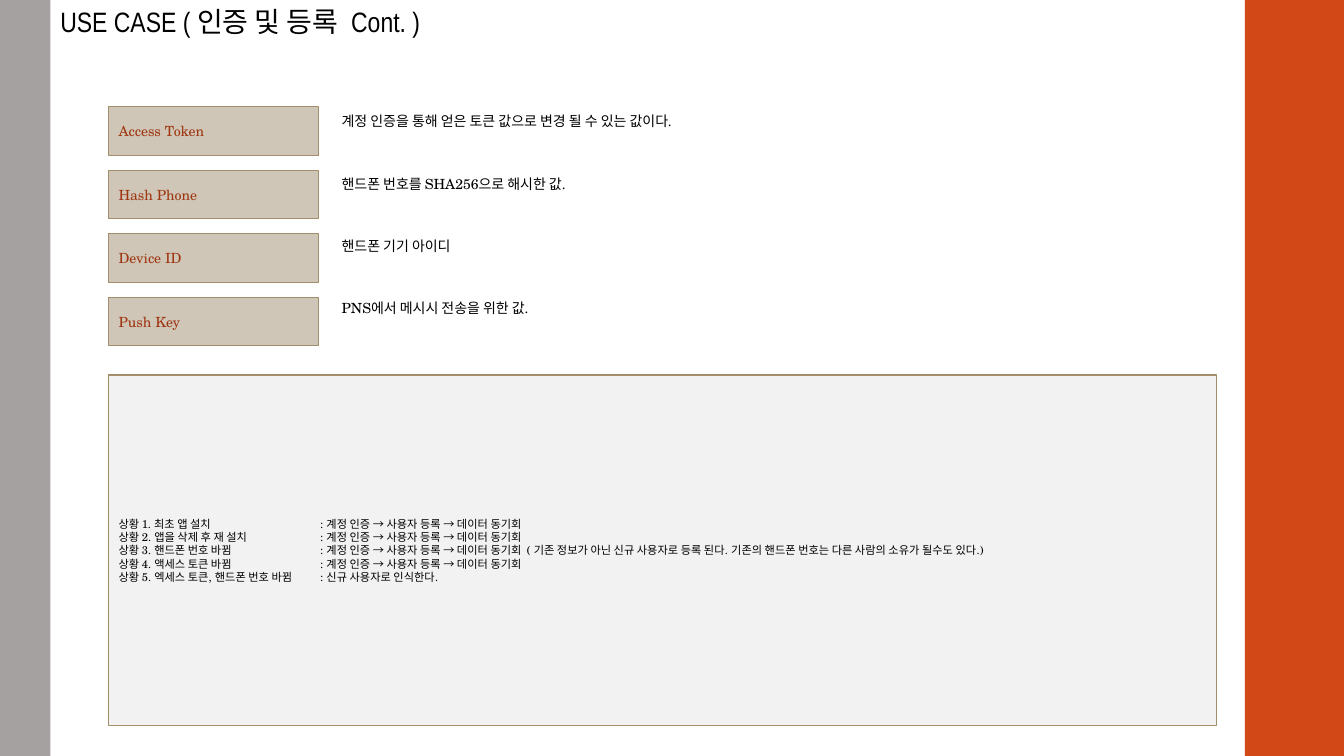
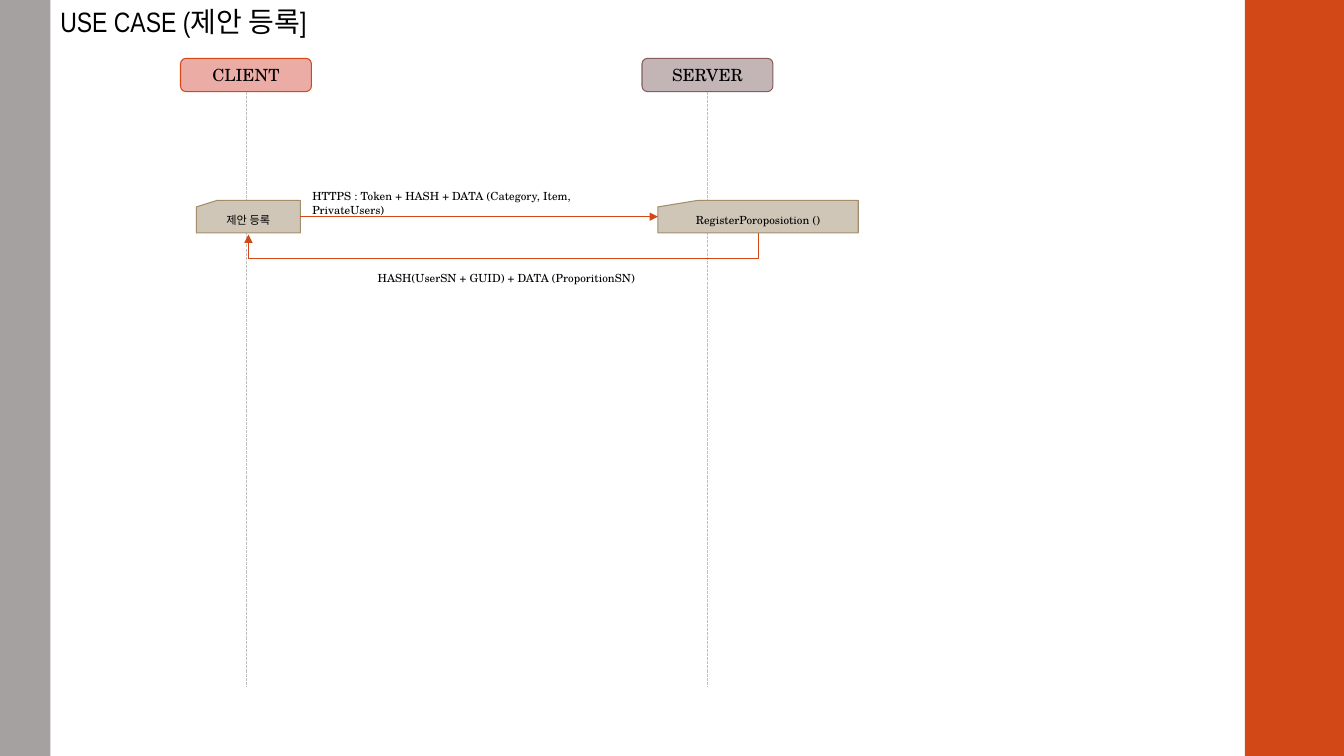
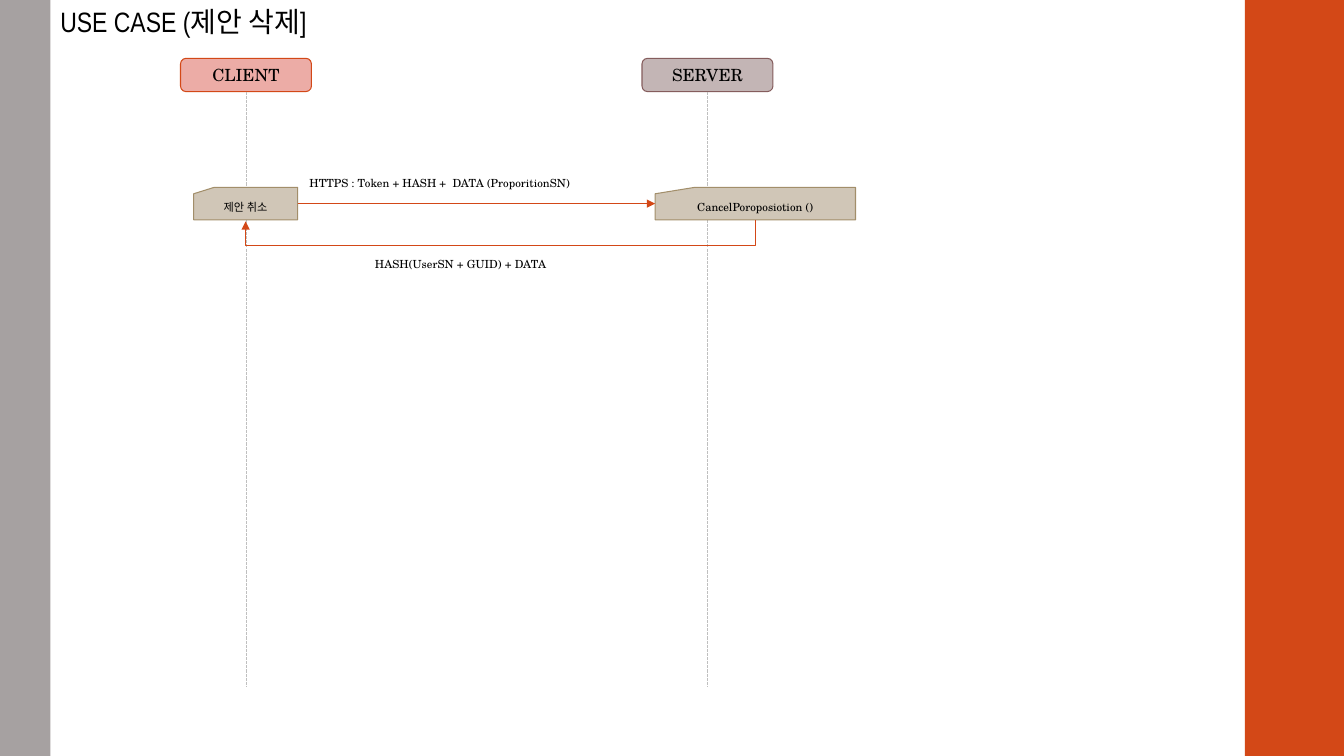
import pptx
import pptx.util
import pptx.oxml
import pptx.oxml.ns
from pptx.dml.color import RGBColor
from pptx.enum.dml import MSO_LINE
from pptx.enum.shapes import MSO_CONNECTOR, MSO_SHAPE
from pptx.enum.text import MSO_ANCHOR, MSO_AUTO_SIZE, PP_ALIGN
from pptx.util import Cm

BLACK = RGBColor(0x00, 0x00, 0x00)
ORANGE = RGBColor(0xD3, 0x48, 0x17)
RUST = RGBColor(0x9E, 0x36, 0x11)
GRAY = RGBColor(0xA6, 0xA1, 0xA1)
PALE = RGBColor(0xF2, 0xF2, 0xF2)
DASH = RGBColor(0xBF, 0xBF, 0xBF)
SAND = RGBColor(0xD0, 0xC6, 0xB7)
TAN = RGBColor(0xA2, 0x8E, 0x6A)
PINK = RGBColor(0xEC, 0xAC, 0xA6)
MAUVE = RGBColor(0xC3, 0xB5, 0xB5)
PLUM = RGBColor(0x85, 0x5D, 0x5D)

TITLE_FONT = "Arial Narrow"
BODY_FONT = "TeX Gyre Schola"

TERMS = [
    ("Access Token", "계정 인증을 통해 얻은 토큰 값으로 변경 될 수 있는 값이다."),
    ("Hash Phone", "핸드폰 번호를 SHA256으로 해시한 값."),
    ("Device ID", "핸드폰 기기 아이디"),
    ("Push Key", "PNS에서 메시시 전송을 위한 값."),
]
FLOW = "계정 인증 → 사용자 등록 → 데이터 동기회"
CASES = [
    ("최초 앱 설치", FLOW),
    ("앱을 삭제 후 재 설치", FLOW),
    ("핸드폰 번호 바뀜", FLOW + "  ( 기존 정보가 아닌 신규 사용자로 등록 된다. "
     "기존의 핸드폰 번호는 다른 사람의 소유가 될수도 있다.)"),
    ("액세스 토큰 바뀜", FLOW),
    ("엑세스 토큰, 핸드폰 번호 바뀜", "신규 사용자로 인식한다."),
]


def add_child(parent, tag, **attrs):
    child = pptx.oxml.parse_xml(f"<{tag} {pptx.oxml.ns.nsdecls('a')}/>")
    for name, value in attrs.items():
        child.set(name, value)
    parent.append(child)
    return child


def write(tf, lines, size, color=BLACK, font=BODY_FONT, align=PP_ALIGN.LEFT):
    tf.text = "\n".join(lines)
    for p in tf.paragraphs:
        p.alignment = align
        p.font.size = pptx.util.Pt(size)
        p.font.name = font
        p.font.color.rgb = color


def add_box(s, kind, x, y, w, h, fill, line=None):
    sp = s.shapes.add_shape(kind, Cm(x), Cm(y), Cm(w), Cm(h))
    sp.shadow.inherit = False
    sp.fill.solid()
    sp.fill.fore_color.rgb = fill
    if line is None:
        sp.line.fill.background()
    else:
        sp.line.color.rgb = line
        sp.line.width = pptx.util.Pt(0.75)
    sp.text_frame.vertical_anchor = MSO_ANCHOR.MIDDLE
    return sp


def add_text(s, x, y, w, h, text, size, font=BODY_FONT, wrap=True):
    tf = s.shapes.add_textbox(Cm(x), Cm(y), Cm(w), Cm(h)).text_frame
    tf.word_wrap = wrap
    tf.auto_size = MSO_AUTO_SIZE.SHAPE_TO_FIT_TEXT
    write(tf, [text], size, font=font)


def style_line(line, color, arrow=False):
    line.line.color.rgb = color
    line.line.width = pptx.util.Pt(0.75)
    if arrow:
        add_child(line.line._ln, "a:tailEnd", type="triangle")
    add_child(line._element.spPr, "a:effectLst")


def add_bands(s, layout):
    for x, w, fill in [(31.37, 2.5, ORANGE), (0, 1.27, GRAY)]:
        band = add_box(s, MSO_SHAPE.RECTANGLE, x, 0, w, 19.05, fill)
        layout.shapes.element.append(band._element)


def add_slide(prs, title):
    s = prs.slides.add_slide(prs.slide_layouts[6])
    add_text(s, 1.27, 0, 30.1, 1.11, title, 20, font=TITLE_FONT)
    return s


def add_participant(s, x, name, fill, line):
    sp = add_box(s, MSO_SHAPE.ROUNDED_RECTANGLE, x, 1.47, 3.3, 0.84, fill, line)
    write(sp.text_frame, [name], 12, align=PP_ALIGN.CENTER)
    center = sp.left + sp.width // 2
    lifeline = s.shapes.add_connector(
        MSO_CONNECTOR.STRAIGHT, center, sp.top + sp.height, center, Cm(17.32))
    lifeline.begin_connect(sp, 2)
    style_line(lifeline, DASH)
    lifeline.line.dash_style = MSO_LINE.SQUARE_DOT


def add_card(s, x, y, w, text):
    sp = add_box(s, MSO_SHAPE.FLOWCHART_CARD, x, y, w, 0.82, SAND, TAN)
    write(sp.text_frame, [text], 8, align=PP_ALIGN.CENTER)
    return sp


def add_request(s, client, server):
    y = client.top + client.height // 2
    arrow = s.shapes.add_connector(
        MSO_CONNECTOR.STRAIGHT, client.left + client.width, y, server.left, y)
    arrow.begin_connect(client, 3)
    arrow.end_connect(server, 1)
    style_line(arrow, ORANGE, arrow=True)


def add_reply(s, client, server):
    gap, drop = Cm(0.04), Cm(0.64)
    start = server.left + server.width // 2
    end = client.left + client.width // 2
    span = start - end
    x = (start + end - gap) // 2
    y = client.top + client.height + (gap - span) // 2
    arrow = s.shapes.add_connector(MSO_CONNECTOR.ELBOW, x, y, x + gap, y + span)
    spPr = arrow._element.spPr
    spPr.xfrm.set("rot", "5400000")
    guides = spPr.find(pptx.oxml.ns.qn("a:prstGeom")).find(pptx.oxml.ns.qn("a:avLst"))
    add_child(guides, "a:gd", name="adj1", fmla=f"val {drop * 100000 // gap}")
    style_line(arrow, ORANGE, arrow=True)


def add_terms_slide(prs):
    s = add_slide(prs, "USE CASE ( 인증 및 등록  Cont. )")
    for i, (term, meaning) in enumerate(TERMS):
        sp = add_box(s, MSO_SHAPE.RECTANGLE, 2.74, 2.69 + 1.6 * i, 5.28, 1.22, SAND, TAN)
        write(sp.text_frame, [term], 10, RUST)
        add_text(s, 8.36, 2.72 + 1.57 * i, 9.78, 0.69, meaning, 10, wrap=False)
    sp = add_box(s, MSO_SHAPE.RECTANGLE, 2.74, 9.45, 27.91, 8.84, PALE, TAN)
    lines = [f"상황 {i}. {case}\t: {result}" for i, (case, result) in enumerate(CASES, 1)]
    write(sp.text_frame, lines, 8)
    for p in sp.text_frame.paragraphs:
        pPr = p._p.get_or_add_pPr()
        tabs = add_child(pPr, "a:tabLst")
        add_child(tabs, "a:tab", pos=str(Cm(5.08)), algn="l")
        pPr.insert(0, tabs)


def add_sequence_slide(prs, title, x, y, action, method, request, reply):
    s = add_slide(prs, title)
    add_participant(s, 4.55, "CLIENT", PINK, ORANGE)
    add_participant(s, 16.18, "SERVER", MAUVE, PLUM)
    client = add_card(s, x, y, 2.62, action)
    server = add_card(s, x + 11.63, y, 5.05, method)
    add_request(s, client, server)
    add_text(s, x + 2.67, y - 0.4, 7.14, 0.6, request, 8)
    add_reply(s, client, server)
    add_text(s, x + 4.32, y + 1.65, 7.14, 0.6, reply, 8)


def main():
    prs = pptx.Presentation()
    prs.slide_width = Cm(33.87)
    prs.slide_height = Cm(19.05)
    add_terms_slide(prs)
    add_bands(prs.slides[0], prs.slide_layouts[6])
    add_sequence_slide(
        prs, "USE CASE (제안 등록]", 4.95, 5.05, "제안 등록", "RegisterPoroposiotion ()",
        "HTTPS : Token + HASH + DATA (Category, Item, PrivateUsers)",
        "HASH(UserSN + GUID) + DATA (ProporitionSN)")
    add_sequence_slide(
        prs, "USE CASE (제안 삭제]", 4.88, 4.72, "제안 취소", "CancelPoroposiotion ()",
        "HTTPS : Token + HASH +  DATA (ProporitionSN)",
        "HASH(UserSN + GUID) + DATA")
    prs.save("out.pptx")


if __name__ == "__main__":
    main()
